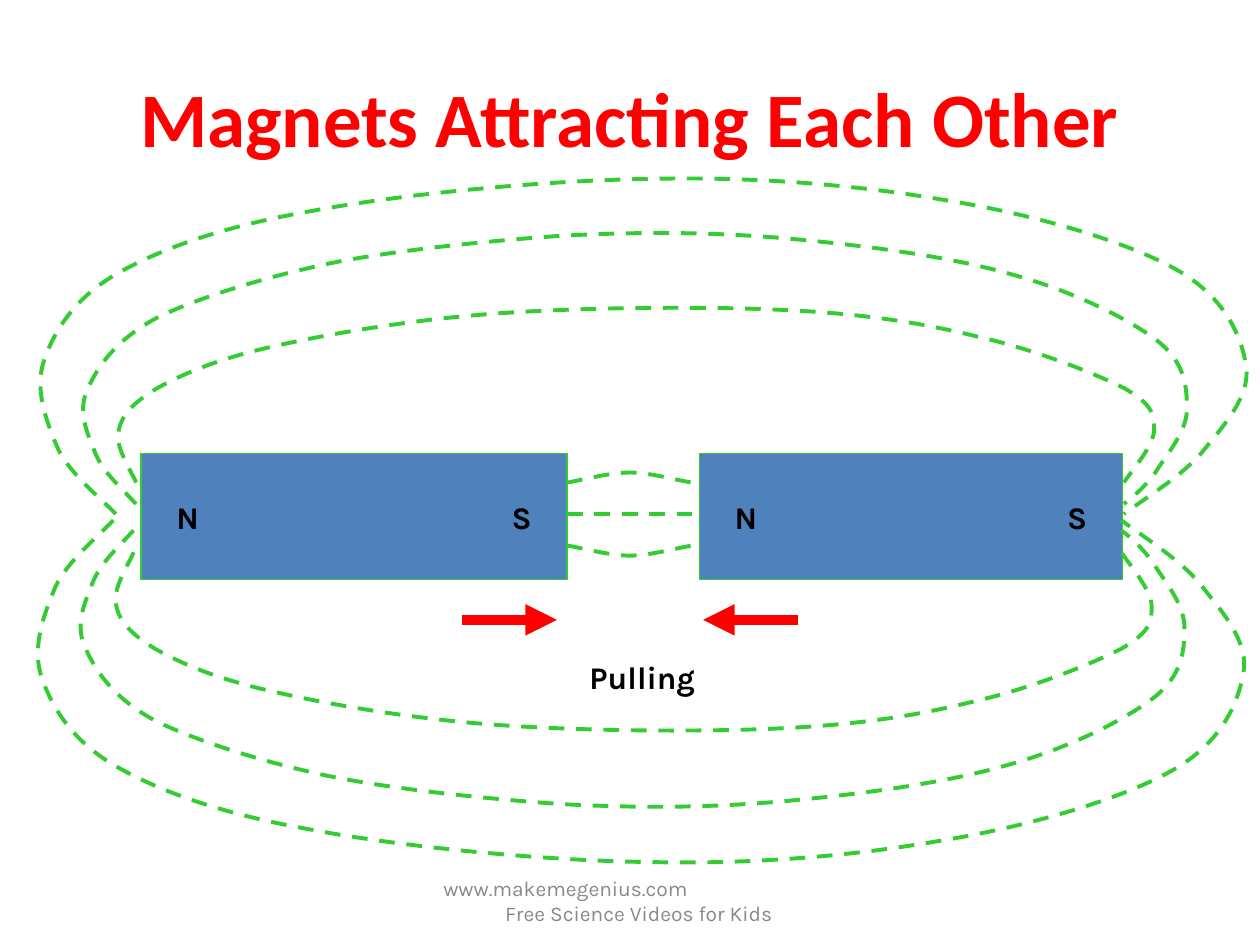
from dataclasses import dataclass
from typing import NamedTuple

from lxml.etree import SubElement
from pptx import Presentation
from pptx.dml.color import RGBColor
from pptx.enum.dml import MSO_LINE
from pptx.enum.shapes import MSO_CONNECTOR, MSO_SHAPE
from pptx.enum.text import MSO_ANCHOR, MSO_AUTO_SIZE, PP_ALIGN
from pptx.oxml.ns import qn
from pptx.util import Inches, Pt


@dataclass(frozen=True)
class Theme:
    red: str = "FF0000"
    green: str = "33CC33"
    blue: str = "4F81BD"
    black: str = "000000"
    grey: str = "898989"
    head: str = "Calibri"
    body: str = "Karla"
    title: int = 44
    label: int = 18
    foot: int = 12
    edge: float = 0.75
    field: float = 2.25
    arrow: float = 6


class Point(NamedTuple):
    x: float
    y: float


class Magnet(NamedTuple):
    left: float
    width: float


class Line(NamedTuple):
    start: Point
    end: Point
    color: str
    weight: float
    arrow: bool


THEME = Theme()
MAGNETS = [Magnet(5.55, 3.36), Magnet(1.12, 3.38)]
TOP, HEIGHT, INSET = 3.6, 1, 0.28
MIDDLE = 4.08  # height of the gap's central field line

PULLS = [Line(Point(tail, 4.92), Point(tip, 4.92), THEME.red, THEME.arrow, True)
         for tail, tip in ((3.67, 4.42), (6.33, 5.58))]
CENTRE = Line(Point(4.5, MIDDLE), Point(5.5, MIDDLE), THEME.green, THEME.field, False)

# Start point, then two control points and an end point per curve
LOOPS = [
    [(1.08, 3.83), (1.06, 3.77), (0.91, 3.55), (0.94, 3.43),
     (0.96, 3.3), (1.05, 3.2), (1.25, 3.08), (1.45, 2.97), (1.72, 2.85), (2.17, 2.75),
     (2.61, 2.65), (3.25, 2.54), (3.92, 2.49), (4.59, 2.44), (5.57, 2.43), (6.21, 2.46),
     (6.85, 2.49), (7.3, 2.56), (7.75, 2.67), (8.2, 2.77), (8.68, 2.96), (8.92, 3.08),
     (9.15, 3.21), (9.16, 3.29), (9.16, 3.41), (9.16, 3.54), (8.97, 3.75), (8.92, 3.83)],
    [(1.08, 4), (0.95, 3.86), (0.81, 3.74), (0.75, 3.58),
     (0.69, 3.43), (0.61, 3.26), (0.7, 3.08), (0.78, 2.9), (0.93, 2.69), (1.25, 2.52),
     (1.58, 2.36), (2.13, 2.19), (2.67, 2.08), (3.2, 1.98), (3.89, 1.91), (4.48, 1.87),
     (5.07, 1.84), (5.62, 1.84), (6.21, 1.89), (6.79, 1.94), (7.51, 2.03), (8, 2.17),
     (8.49, 2.3), (8.94, 2.52), (9.18, 2.7), (9.41, 2.88), (9.42, 3.07), (9.42, 3.25),
     (9.42, 3.43), (9.25, 3.62), (9.17, 3.75), (9.08, 3.87), (9, 3.94), (8.92, 4)],
    [(0.92, 4.08), (0.84, 3.99), (0.55, 3.76), (0.46, 3.56),
     (0.37, 3.35), (0.27, 3.09), (0.35, 2.86), (0.43, 2.63), (0.59, 2.36), (0.95, 2.16),
     (1.31, 1.96), (1.8, 1.79), (2.5, 1.67), (3.2, 1.54), (4.33, 1.43), (5.17, 1.42),
     (6, 1.4), (6.82, 1.47), (7.51, 1.59), (8.2, 1.7), (8.92, 1.91), (9.32, 2.13),
     (9.72, 2.35), (9.85, 2.66), (9.89, 2.9), (9.93, 3.15), (9.7, 3.39), (9.54, 3.59),
     (9.38, 3.78), (9.05, 3.98), (8.92, 4.08)],
]
BOW = [(4.5, 3.83), (4.58, 3.82), (4.83, 3.75), (5, 3.75),
       (5.17, 3.75), (5.4, 3.82), (5.5, 3.83)]


def write(para, text: str, *, size: int, color: str, font: str = THEME.body,
          bold: bool = False, align=PP_ALIGN.LEFT, indent: float = 0,
          tab: float = 0) -> None:
    """Fill one paragraph, with an optional indent and right tab stop."""
    props = para._p.get_or_add_pPr()
    if indent:
        props.set("marL", str(Inches(indent)))
    if tab:
        stops = SubElement(props, qn("a:tabLst"))
        SubElement(stops, qn("a:tab"), pos=str(Inches(tab)), algn="r")
    para.alignment = align
    run = para.add_run()
    run.text = text
    run.font.name, run.font.size, run.font.bold = font, Pt(size), bold
    run.font.color.rgb = RGBColor.from_string(color)


def stroke(line, color: str, weight: float, dash: bool = False) -> None:
    line.color.rgb = RGBColor.from_string(color)
    line.width = Pt(weight)
    if dash:
        line.dash_style = MSO_LINE.DASH


def draw_line(shapes, item: Line) -> None:
    link = shapes.add_connector(MSO_CONNECTOR.STRAIGHT,
                                *map(Inches, (*item.start, *item.end)))
    stroke(link.line, item.color, item.weight, dash=not item.arrow)
    if item.arrow:
        SubElement(link.line._get_or_add_ln(), qn("a:tailEnd"), type="triangle")
    SubElement(link._element.spPr, qn("a:effectLst"))


def draw_curve(shapes, points: list) -> None:
    """Draw a dashed field line, turning each three points into a cubic curve."""
    spots = [(Inches(x), Inches(y)) for x, y in points]
    builder = shapes.build_freeform(*spots[0])
    builder.add_line_segments(spots[1:], close=False)
    curve = builder.convert_to_shape()
    track = next(curve._element.iter(qn("a:path")))
    steps = track.findall(qn("a:lnTo"))
    for i in range(0, len(steps), 3):
        cubic = SubElement(track, qn("a:cubicBezTo"))
        for step in steps[i:i + 3]:
            cubic.append(step[0])
            track.remove(step)
    curve.fill.background()
    stroke(curve.line, THEME.green, THEME.field, dash=True)
    curve.shadow.inherit = False


def draw_magnet(shapes, item: Magnet) -> None:
    bar = shapes.add_shape(MSO_SHAPE.RECTANGLE, Inches(item.left), Inches(TOP),
                           Inches(item.width), Inches(HEIGHT))
    bar.shadow.inherit = False
    bar.fill.solid()
    bar.fill.fore_color.rgb = RGBColor.from_string(THEME.blue)
    stroke(bar.line, THEME.green, THEME.edge)
    frame = bar.text_frame
    frame.margin_left = frame.margin_right = Inches(INSET)
    frame.vertical_anchor = MSO_ANCHOR.MIDDLE
    write(frame.paragraphs[0], "N\tS", size=THEME.label, color=THEME.black,
          bold=True, tab=item.width - 2 * INSET)


def flip(points: list) -> list:
    """Mirror an upper loop below the magnets, slightly taller."""
    return [(x - 0.02, 4.21 + 1.02 * (4 - y)) for x, y in points]


def main() -> None:
    deck = Presentation()
    deck.slide_width, deck.slide_height = Inches(10), Inches(7.5)
    slide = deck.slides.add_slide(deck.slide_layouts[5])
    shapes = slide.shapes

    # Title
    title = shapes.title
    title.left, title.top, title.width, title.height = map(Inches, (0.5, 0.3, 9, 1.25))
    title.text_frame.auto_size = MSO_AUTO_SIZE.NONE
    title.text_frame.vertical_anchor = MSO_ANCHOR.MIDDLE
    write(title.text_frame.paragraphs[0], "Magnets Attracting Each Other",
          size=THEME.title, color=THEME.red, font=THEME.head, bold=True,
          align=PP_ALIGN.CENTER)

    # Pulling arrows and their label
    for pull in PULLS:
        draw_line(shapes, pull)
    label = shapes.add_textbox(*map(Inches, (4.58, 5.17, 1.07, 0.4))).text_frame
    label.word_wrap = False
    write(label.paragraphs[0], "Pulling", size=THEME.label, color=THEME.black, bold=True)

    # Magnets
    for magnet in MAGNETS:
        draw_magnet(shapes, magnet)

    # Field lines around the magnets, then across the gap
    for curve in LOOPS + [flip(loop) for loop in LOOPS]:
        draw_curve(shapes, curve)
    draw_curve(shapes, BOW)
    draw_line(shapes, CENTRE)
    draw_curve(shapes, [(x, 2 * MIDDLE - y) for x, y in BOW])

    # Footer
    foot = shapes.add_textbox(*map(Inches, (3.42, 6.95, 3.17, 0.4))).text_frame
    foot.word_wrap = True
    foot.vertical_anchor = MSO_ANCHOR.MIDDLE
    write(foot.paragraphs[0], "www.makemegenius.com", size=THEME.foot, color=THEME.grey)
    write(foot.add_paragraph(), "Free Science Videos for Kids", size=THEME.foot,
          color=THEME.grey, indent=0.49)

    deck.save("out.pptx")


if __name__ == "__main__":
    main()
